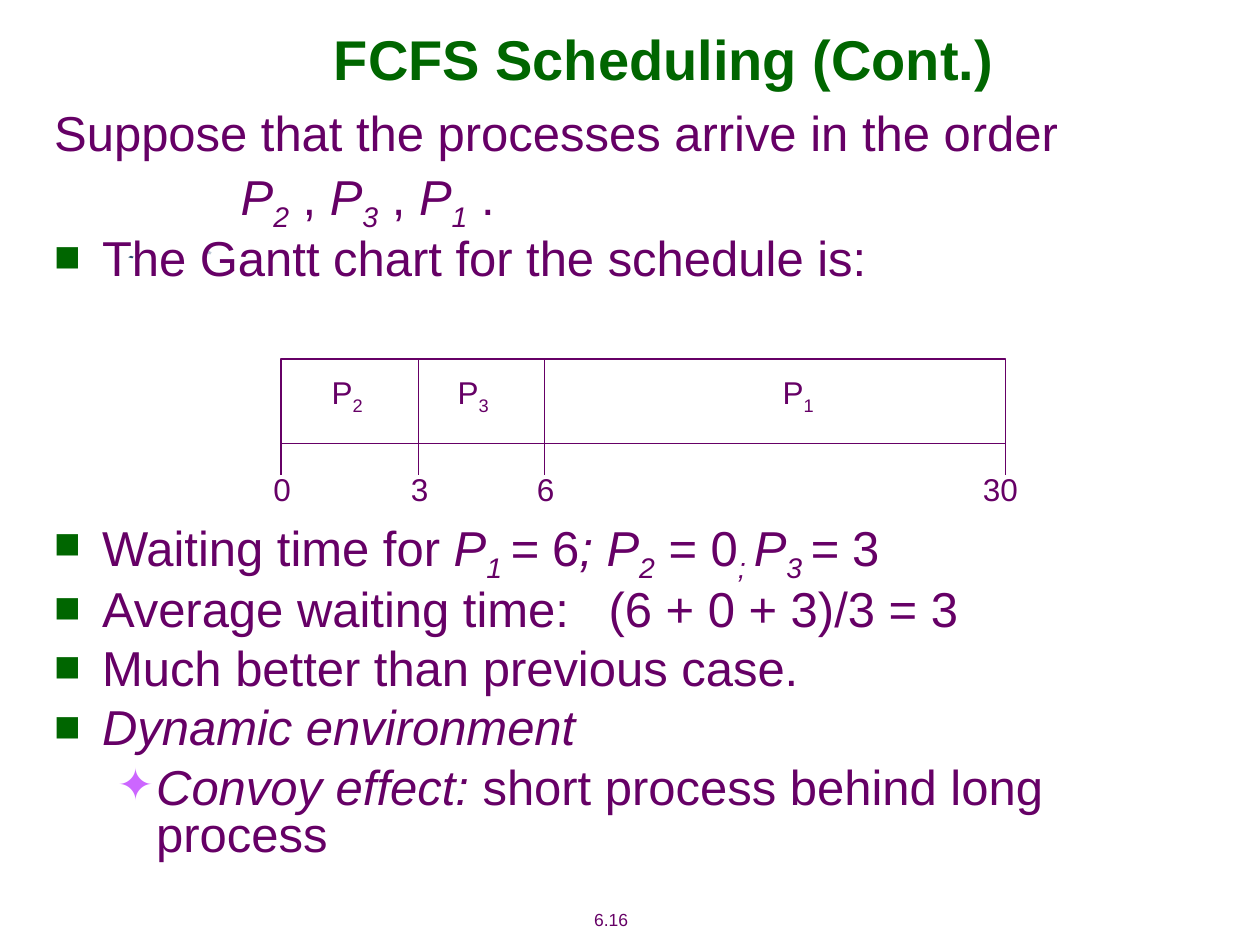
from lxml import etree
from pptx import Presentation
from pptx.dml.color import RGBColor
from pptx.enum import shapes, text
from pptx.oxml import ns
from pptx.util import Inches, Pt

COLORS = {"text": "660066", "green": "006600", "violet": "CC66FF",
          "paper": "FFFFFF", "dark": "284C70", "pale": "BFCCD8"}


def rgb(name):
    return RGBColor.from_string(COLORS[name])


def add_runs(paragraph, runs, size, color="text"):
    """Add (text, style) runs; style holds i for italic, s for subscript."""
    for words, style in runs:
        run = paragraph.add_run()
        run.text = words
        run.font.name = "Arial"
        run.font.size = Pt(size)
        run.font.color.rgb = rgb(color)
        run.font.italic = "i" in style
        if "s" in style:
            run.font._element.set("baseline", "-25000")


presentation = Presentation()
presentation.slide_width, presentation.slide_height = Inches(10), Inches(7.5)
slide = presentation.slides.add_slide(presentation.slide_layouts[1])
title, body = slide.placeholders

# Title
title.left, title.top = Inches(1.28), Inches(0)
title.width, title.height = Inches(7.98), Inches(0.92)
title.text_frame.vertical_anchor = text.MSO_ANCHOR.MIDDLE
paragraph = title.text_frame.paragraphs[0]
paragraph.alignment = text.PP_ALIGN.CENTER
add_runs(paragraph, [("FCFS Scheduling (Cont.)", "")], 32, "green")
paragraph.runs[0].font.bold = True

# Body: level, left margin, first-line indent, bullet, space before, runs
SQUARE, STAR = ("■", "green"), ("✦", "violet")
lines = [
    (0, 0.38, -0.38, None, 0, [("Suppose that the processes arrive in the order", "")]),
    (0, 1.48, 0, None, 7, [
        ("P", "i"), ("2", "is"), (" , ", ""), ("P", "i"), ("3", "is"),
        (" , ", ""), ("P", "i"), ("1", "is"), (" .", "")]),
    (0, 0.38, -0.38, SQUARE, 7, [("The Gantt chart for the schedule is:", "")]),
    (0, 0.38, -0.38, SQUARE, 136, [
        ("Waiting time for ", ""), ("P", "i"), ("1 ", "is"), ("=", "i"), (" 6", ""),
        ("; P", "i"), ("2", "is"), (" = 0", ""), ("; ", "is"), ("P", "i"),
        ("3 ", "is"), ("= ", "i"), ("3", "")]),
    (0, 0.38, -0.38, SQUARE, 7, [("Average waiting time:\t(6 + 0 + 3)/3 = 3", "")]),
    (0, 0.38, -0.38, SQUARE, 7, [("Much better than previous case.", "")]),
    (0, 0.38, -0.38, SQUARE, 7, [("Dynamic environment", "i")]),
    (1, 0.81, -0.31, STAR, 7, [
        ("Convoy effect:", "i"), (" short process behind long process", "")]),
]
body.left, body.top = Inches(0.33), Inches(0.85)
body.width, body.height = Inches(9.22), Inches(6.46)
frame = body.text_frame
frame.auto_size = text.MSO_AUTO_SIZE.NONE
for index, (level, margin, indent, bullet, before, runs) in enumerate(lines):
    paragraph = frame.add_paragraph() if index else frame.paragraphs[0]
    paragraph.level = level
    paragraph.line_spacing = 0.8
    paragraph.space_before = Pt(before)
    properties = paragraph._element.get_or_add_pPr()
    properties.set("marL", str(Inches(margin)))
    properties.set("indent", str(Inches(indent)))
    if bullet:
        symbol, color = bullet
        bullet_color = etree.SubElement(properties, ns.qn("a:buClr"))
        etree.SubElement(bullet_color, ns.qn("a:srgbClr"), val=COLORS[color])
        etree.SubElement(properties, ns.qn("a:buSzPct"), val="90000")
        etree.SubElement(properties, ns.qn("a:buChar"), char=symbol)
    else:
        etree.SubElement(properties, ns.qn("a:buNone"))
    if "\t" in runs[0][0]:
        tabs = etree.SubElement(properties, ns.qn("a:tabLst"))
        etree.SubElement(tabs, ns.qn("a:tab"), pos=str(Inches(4.4)), algn="l")
    add_runs(paragraph, runs, 28)

# Small specks from the background
for left, top, width, height, color in [(1.02, 2.03, 0.04, 0.02, "dark"),
                                        (1.02, 2.03, 0.03, 0.02, "pale"),
                                        (1.63, 1.99, 0.05, 0.03, "pale")]:
    corners = [(0.5, 0), (1, 0.4), (0.8, 1), (0.4, 0.8), (0, 0.6)]
    points = [(Inches(left + width * x), Inches(top + height * y)) for x, y in corners]
    builder = slide.shapes.build_freeform(*points[0])
    builder.add_line_segments(points[1:], close=True)
    speck = builder.convert_to_shape()
    speck.shadow.inherit = False
    speck.fill.solid()
    speck.fill.fore_color.rgb = rgb(color)
    speck.line.fill.background()
    slide.shapes._spTree.remove(speck._element)
    slide.shapes._spTree.insert(2, speck._element)

# Gantt chart
TOP, BOTTOM, TICK_END = 2.85, 3.52, 3.77
ticks = [(2.23, "0"), (3.32, "3"), (4.32, "6"), (7.98, "30")]
gantt = slide.shapes.add_group_shape()
bar = gantt.shapes.add_shape(shapes.MSO_SHAPE.RECTANGLE, Inches(2.23), Inches(TOP),
                             Inches(5.75), Inches(BOTTOM - TOP))
bar.shadow.inherit = False
bar.fill.solid()
bar.fill.fore_color.rgb = rgb("paper")
bar.line.color.rgb = rgb("text")
bar.line.width = Pt(0.75)

segments = [(x, BOTTOM, TICK_END) for x, _ in ticks]
segments += [(x, TOP, BOTTOM) for x, _ in ticks[1:-1]]
for x, start, end in segments:
    line = gantt.shapes.add_connector(shapes.MSO_CONNECTOR.STRAIGHT, Inches(x),
                                      Inches(start), Inches(x), Inches(end))
    line.line.color.rgb = rgb("text")
    line.line.width = Pt(0.75)
    etree.SubElement(line._element.spPr, ns.qn("a:effectLst"))

# Centred labels: parent, left, top, width, height, size, runs
labels = [(gantt, left, 2.91, 0.45, 0.44, 18, [("P", ""), (number, "s")])
          for left, number in [(2.53, "2"), (3.53, "3"), (6.11, "1")]]
for x, time in ticks:
    width = 0.34 if len(time) == 1 else 0.48
    center = x if len(time) == 1 else x - 0.05
    labels.append((gantt, center + 0.01 - width / 2, 3.68, width, 0.4, 18, [(time, "")]))
labels.append((slide, 4.38, 7.16, 0.94, 0.27, 10, [("6.16", "")]))
for parent, left, top, width, height, size, runs in labels:
    label = parent.shapes.add_textbox(Inches(left), Inches(top), Inches(width), Inches(height))
    label.text_frame.word_wrap = False
    label.text_frame.vertical_anchor = text.MSO_ANCHOR.MIDDLE
    paragraph = label.text_frame.paragraphs[0]
    paragraph.alignment = text.PP_ALIGN.CENTER
    add_runs(paragraph, runs, size)

presentation.save("out.pptx")
